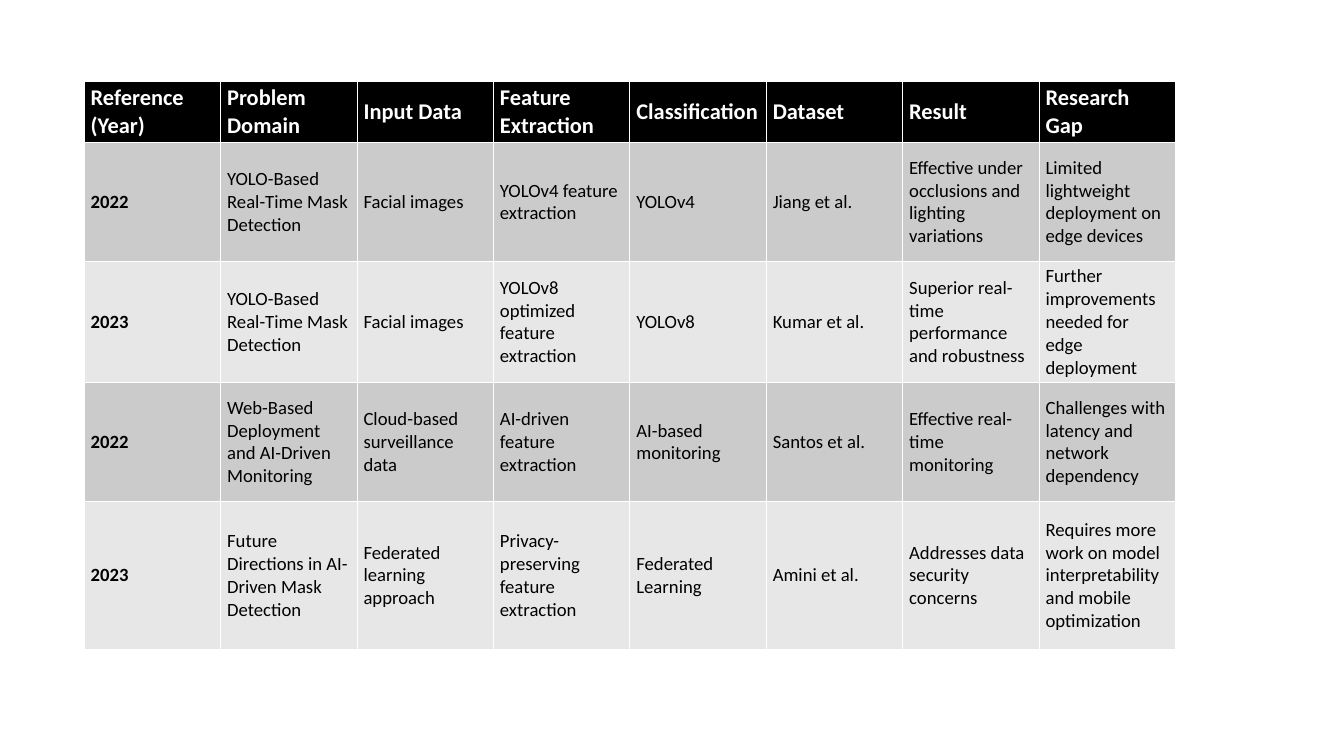
"""Build a slide with a literature review table on face mask detection."""
import dataclasses

import pptx
import pptx.dml.color
import pptx.enum.text
import pptx.oxml
import pptx.oxml.ns
import pptx.util
from pptx.util import Inches


@dataclasses.dataclass(frozen=True)
class Theme:
    font: str = "Calibri"
    heading_size: float = 24
    body_size: float = 20
    heading_fill: str = "000000"
    heading_text: str = "FFFFFF"
    body_text: str = "000000"
    band_fills: tuple = ("CBCBCB", "E7E7E7")
    rule: str = "FFFFFF"
    thin_rule: float = 0.45
    heading_rule: float = 1.47


THEME = Theme()
COLUMN_WIDTH = 2.03
ROW_HEIGHTS = (0.9, 1.77, 1.77, 1.77, 2.2)
HEADINGS = ("Reference (Year)", "Problem Domain", "Input Data", "Feature Extraction",
            "Classification", "Dataset", "Result", "Research Gap")
STUDIES = (
    ("2022", "YOLO-Based Real-Time Mask Detection", "Facial images",
     "YOLOv4 feature extraction", "YOLOv4", "Jiang et al.",
     "Effective under occlusions and lighting variations",
     "Limited lightweight deployment on edge devices"),
    ("2023", "YOLO-Based Real-Time Mask Detection", "Facial images",
     "YOLOv8 optimized feature extraction", "YOLOv8", "Kumar et al.",
     "Superior real-time performance and robustness",
     "Further improvements needed for edge deployment"),
    ("2022", "Web-Based Deployment and AI-Driven Monitoring",
     "Cloud-based surveillance data", "AI-driven feature extraction",
     "AI-based monitoring", "Santos et al.", "Effective real-time monitoring",
     "Challenges with latency and network dependency"),
    ("2023", "Future Directions in AI-Driven Mask Detection",
     "Federated learning approach", "Privacy-preserving feature extraction",
     "Federated Learning", "Amini et al.", "Addresses data security concerns",
     "Requires more work on model interpretability and mobile optimization"),
)


def rgb(value):
    return pptx.dml.color.RGBColor.from_string(value)


def draw_borders(cell, top, bottom):
    properties = cell._tc.get_or_add_tcPr()
    widths = {"L": THEME.thin_rule, "R": THEME.thin_rule, "T": top, "B": bottom}
    for side, width in widths.items():
        properties.append(pptx.oxml.parse_xml(
            f'<a:ln{side} {pptx.oxml.ns.nsdecls("a")} w="{pptx.util.Pt(width)}">'
            f'<a:solidFill><a:srgbClr val="{THEME.rule}"/></a:solidFill></a:ln{side}>'))


def fill_cell(cell, text, fill, color, size, bold):
    cell.text_frame.text = text
    cell.vertical_anchor = pptx.enum.text.MSO_ANCHOR.MIDDLE
    cell.fill.solid()
    cell.fill.fore_color.rgb = rgb(fill)
    font = cell.text_frame.paragraphs[0].runs[0].font
    font.name = THEME.font
    font.size = pptx.util.Pt(size)
    font.bold = bold
    font.color.rgb = rgb(color)


def add_heading_row(review):
    for column, heading in enumerate(HEADINGS):
        cell = review.cell(0, column)
        draw_borders(cell, THEME.thin_rule, THEME.heading_rule)
        fill_cell(cell, heading, THEME.heading_fill, THEME.heading_text,
                  THEME.heading_size, True)


def add_study_row(review, row, study):
    band = THEME.band_fills[(row - 1) % len(THEME.band_fills)]
    top = THEME.heading_rule if row == 1 else THEME.thin_rule
    for column, text in enumerate(study):
        cell = review.cell(row, column)
        draw_borders(cell, top, THEME.thin_rule)
        fill_cell(cell, text, band, THEME.body_text, THEME.body_size, column == 0)


def add_review_table(slide):
    review = slide.shapes.add_table(
        len(ROW_HEIGHTS), len(HEADINGS), Inches(1.25), Inches(1.21),
        Inches(COLUMN_WIDTH * len(HEADINGS)), Inches(sum(ROW_HEIGHTS))).table
    for column in review.columns:
        column.width = Inches(COLUMN_WIDTH)
    for row, height in zip(review.rows, ROW_HEIGHTS):
        row.height = Inches(height)
    add_heading_row(review)
    for row, study in enumerate(STUDIES, start=1):
        add_study_row(review, row, study)


def main():
    presentation = pptx.Presentation()
    presentation.slide_width = Inches(20)
    presentation.slide_height = Inches(11.25)
    slide = presentation.slides.add_slide(presentation.slide_layouts[6])
    add_review_table(slide)
    presentation.save("out.pptx")


if __name__ == "__main__":
    main()
